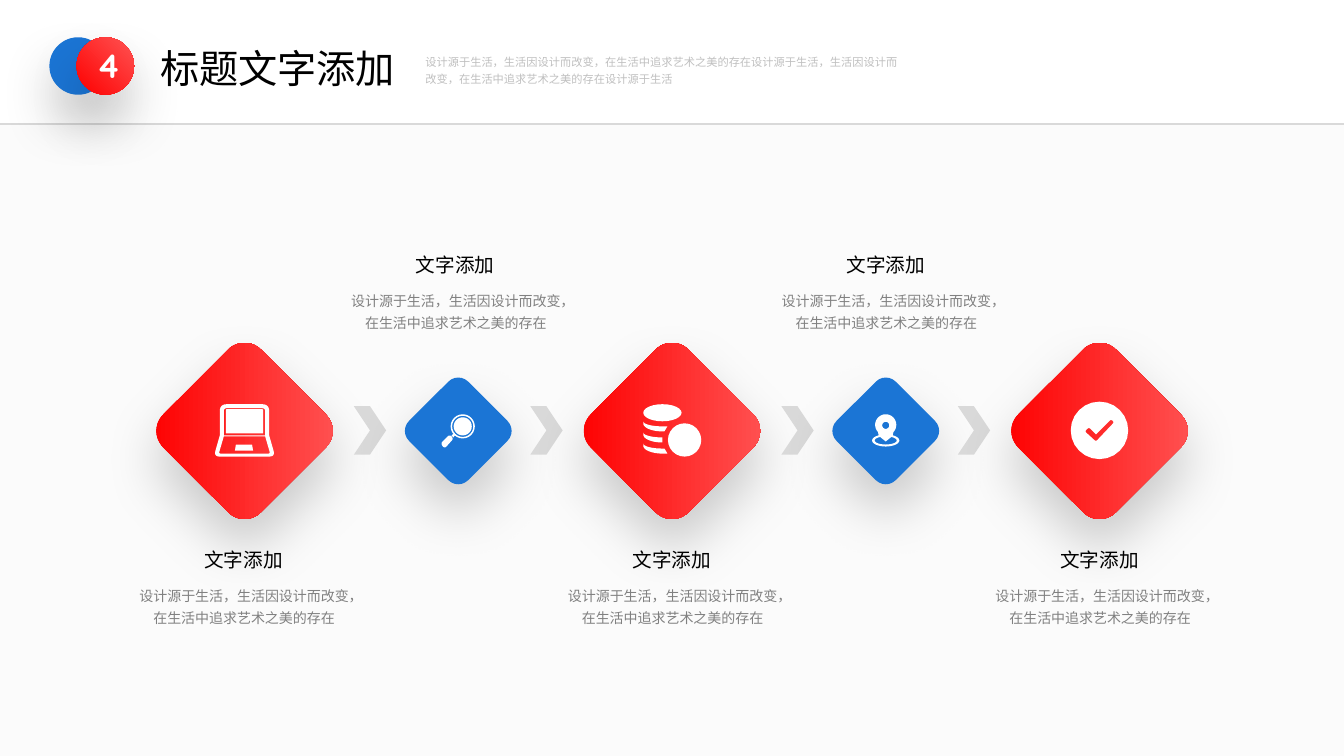
from dataclasses import dataclass
from math import cos, dist, radians, sin

from pptx import Presentation
from pptx.dml.color import RGBColor
from pptx.enum.shapes import MSO_CONNECTOR, MSO_SHAPE
from pptx.enum.text import MSO_AUTO_SIZE, PP_ALIGN
from pptx.oxml.ns import qn
from pptx.oxml.xmlchemy import OxmlElement
from pptx.util import Pt

RECT, ROUND = MSO_SHAPE.RECTANGLE, MSO_SHAPE.ROUNDED_RECTANGLE
OVAL, ARROW = MSO_SHAPE.OVAL, MSO_SHAPE.CHEVRON
STRAIGHT = MSO_CONNECTOR.STRAIGHT
LEFT, MID = PP_ALIGN.LEFT, PP_ALIGN.CENTER
GROW = MSO_AUTO_SIZE.SHAPE_TO_FIT_TEXT

RED, CORAL = RGBColor(0xFE, 0x00, 0x00), RGBColor(0xFF, 0x53, 0x53)
BLUE = RGBColor(0x1B, 0x75, 0xD5)
WHITE, BLACK = RGBColor(0xFF, 0xFF, 0xFF), RGBColor(0x00, 0x00, 0x00)
PALE, RULE = RGBColor(0xFB, 0xFB, 0xFB), RGBColor(0xD9, 0xD9, 0xD9)
GREY, FAINT = RGBColor(0x80, 0x80, 0x80), RGBColor(0xBF, 0xBF, 0xBF)

HAN, LATIN = "Noto Sans CJK SC", "Quicksand"
SCALE = 9144  # EMU in one px, 100 px to the inch
WIDE, HIGH, HEAD = 1333, 750, 123
AXIS, GAP = 427, 212
BODY = "设计源于生活，生活因设计而改变，在生活中追求艺术之美的存在"

Spot = tuple[float, float]
Loop = list[Spot]


@dataclass
class Step:
    left: int  # left edge of the caption
    icon: list[Loop]


def px(num: float) -> int:
    return round(num * SCALE)


def arc(x: float, y: float, wide: float, high: float,
        start: int = 0, end: int = 360) -> Loop:
    """Points on an ellipse about (x, y), angles clockwise from the right."""
    count = 24
    turns = [radians(start + (end - start) * i / count) for i in range(count + 1)]
    return [(x + wide * cos(t), y + high * sin(t)) for t in turns]


def soft(*spots: tuple[float, float, float]) -> Loop:
    """Polygon of (x, y, cut) corners, each rounded from a cut along its sides."""
    loop: Loop = []
    for i, (x, y, cut) in enumerate(spots):
        if not cut:
            loop.append((x, y))
            continue
        ends = []
        for other in (spots[i - 1], spots[(i + 1) % len(spots)]):
            part = cut / dist((x, y), other[:2])
            ends.append((x + (other[0] - x) * part, y + (other[1] - y) * part))
        (ax, ay), (bx, by) = ends
        for t in (n / 6 for n in range(7)):
            a, m, b = (1 - t) ** 2, 2 * t * (1 - t), t * t
            loop.append((a * ax + m * x + b * bx, a * ay + m * y + b * by))
    return loop


def band(y: int, tip: int, end: int) -> Loop:
    """Visible edge of one coin in the stack."""
    return (arc(657, y, 19, 5, 180, 90) + [(tip, y + 5), (end, y + 10)]
            + arc(657, y + 2, 19, 8, 90, 180))


LAPTOP = [
    soft((218, 401, 7), (267, 401, 7), (267, 432, 0),
         (273, 453, 6), (212, 453, 6), (218, 432, 0)),
    soft((222, 405, 3), (263, 405, 3), (263, 432, 0), (222, 432, 0)),
    soft((224, 406, 1), (261, 406, 1), (261, 430, 1), (224, 430, 1)),
    soft((222, 433, 0), (263, 433, 0), (268, 450, 2), (217, 450, 2)),
    [(234, 441), (250, 441), (251, 447), (233, 447)],
]
LENS = [
    arc(459, 423, 12, 12), arc(459, 423, 10.5, 10.5), arc(459, 423, 9, 9),
    soft((446, 431, 3), (450, 435, 3), (441, 445, 3), (437, 440, 3)),
    [(448, 432), (450, 430), (451, 432), (450, 434)],
]
COINS = [
    arc(657, 409.5, 19, 8.5), arc(679, 436.5, 16.5, 16.5),
    band(418, 662, 659), band(429, 657, 657), band(440, 659, 662),
]
PIN = [
    arc(878.5, 437, 13.5, 6, -59, 239) + arc(878.5, 421.5, 10.5, 10.5, 137, 403),
    arc(878.5, 422, 3.5, 3.5),
    arc(878.5, 437, 11, 4, -60, 240) + [(878.5, 438)],
]
CHECK = [
    arc(1090.5, 427, 28.5, 28.5),
    soft((1102, 416, 2), (1105, 419, 2), (1087, 438, 2),
         (1076, 428, 2), (1080, 424, 2), (1087, 431, 0)),
]
STEPS = [Step(126, LAPTOP), Step(336, LENS), Step(551, COINS),
         Step(763, PIN), Step(975, CHECK)]


def paint(shape, fill: RGBColor, fade: RGBColor | None = None) -> None:
    shape.shadow.inherit = False
    shape.line.fill.background()
    if fade is None:
        shape.fill.solid()
        shape.fill.fore_color.rgb = fill
        return
    shape.fill.gradient()
    shape.fill.gradient_angle = 45
    for stop, tone in zip(shape.fill.gradient_stops, (fill, fade)):
        stop.color.rgb = tone


def shade(shape) -> None:
    cast = OxmlElement("a:outerShdw")
    for key, val in (("blurRad", Pt(40)), ("dist", Pt(20)), ("dir", 90 * 60000),
                     ("algn", "t"), ("rotWithShape", 0)):
        cast.set(key, str(int(val) if key != "algn" else val))
    tone, alpha = OxmlElement("a:srgbClr"), OxmlElement("a:alpha")
    tone.set("val", str(BLACK))
    alpha.set("val", "20000")
    tone.append(alpha)
    cast.append(tone)
    shape._element.spPr.find(qn("a:effectLst")).append(cast)


def block(shapes, kind, x: int, y: int, wide: int, high: int, fill: RGBColor,
          fade: RGBColor | None = None, lift: bool = False, turn: int = 0) -> None:
    shape = shapes.add_shape(kind, px(x), px(y), px(wide), px(high))
    shape.rotation = turn
    paint(shape, fill, fade)
    if lift:
        shade(shape)


def text(shapes, words: str, x: int, y: int, wide: int, high: int, *,
         size: int, tone: RGBColor, font: str = HAN, align=MID,
         wrap: bool = False, space: float = 1, bold: bool = False) -> None:
    frame = shapes.add_textbox(px(x), px(y), px(wide), px(high)).text_frame
    frame.word_wrap = wrap
    frame.auto_size = GROW
    para = frame.paragraphs[0]
    para.alignment = align
    para.line_spacing = space
    run = para.add_run()
    run.text = words
    run.font.size, run.font.bold = Pt(size), bold
    run.font.color.rgb = tone
    run.font.name = font
    east = OxmlElement("a:ea")
    east.set("typeface", HAN)
    run.font._element.find(qn("a:latin")).addnext(east)


def draw(shapes, icon: list[Loop]) -> None:
    loops = [[(px(x), px(y)) for x, y in loop] for loop in icon]
    pen = shapes.build_freeform(*loops[0][0], scale=1.0)
    pen.add_line_segments(loops[0][1:], close=True)
    for loop in loops[1:]:
        pen.move_to(*loop[0])
        pen.add_line_segments(loop[1:], close=True)
    paint(pen.convert_to_shape(), WHITE)


def header(shapes) -> None:
    block(shapes, RECT, 0, HEAD, WIDE, HIGH - HEAD, PALE)
    rule = shapes.add_connector(STRAIGHT, 0, px(HEAD), px(WIDE), px(HEAD))
    rule.line.color.rgb, rule.line.width = RULE, Pt(1.5)
    rule._element.spPr.append(OxmlElement("a:effectLst"))
    block(shapes, OVAL, 49, 37, 57, 57, BLUE, lift=True)
    block(shapes, OVAL, 76, 37, 57, 57, RED, CORAL, lift=True)
    text(shapes, "标题文字添加", 149, 39, 256, 57, size=28, tone=BLACK, align=LEFT)
    text(shapes, BODY + BODY + "设计源于生活", 412, 46, 491, 43, size=8,
         tone=FAINT, font=LATIN, align=LEFT, wrap=True, space=1.3)
    text(shapes, "4", 86, 40, 39, 50, size=24, tone=WHITE, font=LATIN, bold=True)


def flow(shapes) -> None:
    for i, step in enumerate(STEPS):
        mid, big = 242 + GAP * i, i % 2 == 0
        side = 137 if big else 83
        block(shapes, ROUND, mid - side // 2, AXIS - side // 2, side, side,
              RED if big else BLUE, CORAL if big else None, lift=True, turn=45)
        draw(shapes, step.icon)
        top = 539 if big else 246
        group = shapes.add_group_shape().shapes
        text(group, BODY, step.left, top + 34, 232, 52, size=10, tone=GREY,
             font=LATIN, wrap=True, space=1.3)
        text(group, "文字添加", step.left + 66, top, 99, 34, size=14, tone=BLACK)
        if i < len(STEPS) - 1:
            block(shapes, ARROW, mid + (109 if big else 72), 403, 32, 48, RULE)


def main() -> None:
    deck = Presentation()
    deck.slide_width, deck.slide_height = px(WIDE), px(HIGH)
    shapes = deck.slides.add_slide(deck.slide_layouts[6]).shapes
    header(shapes)
    flow(shapes)
    deck.save("out.pptx")


if __name__ == "__main__":
    main()
